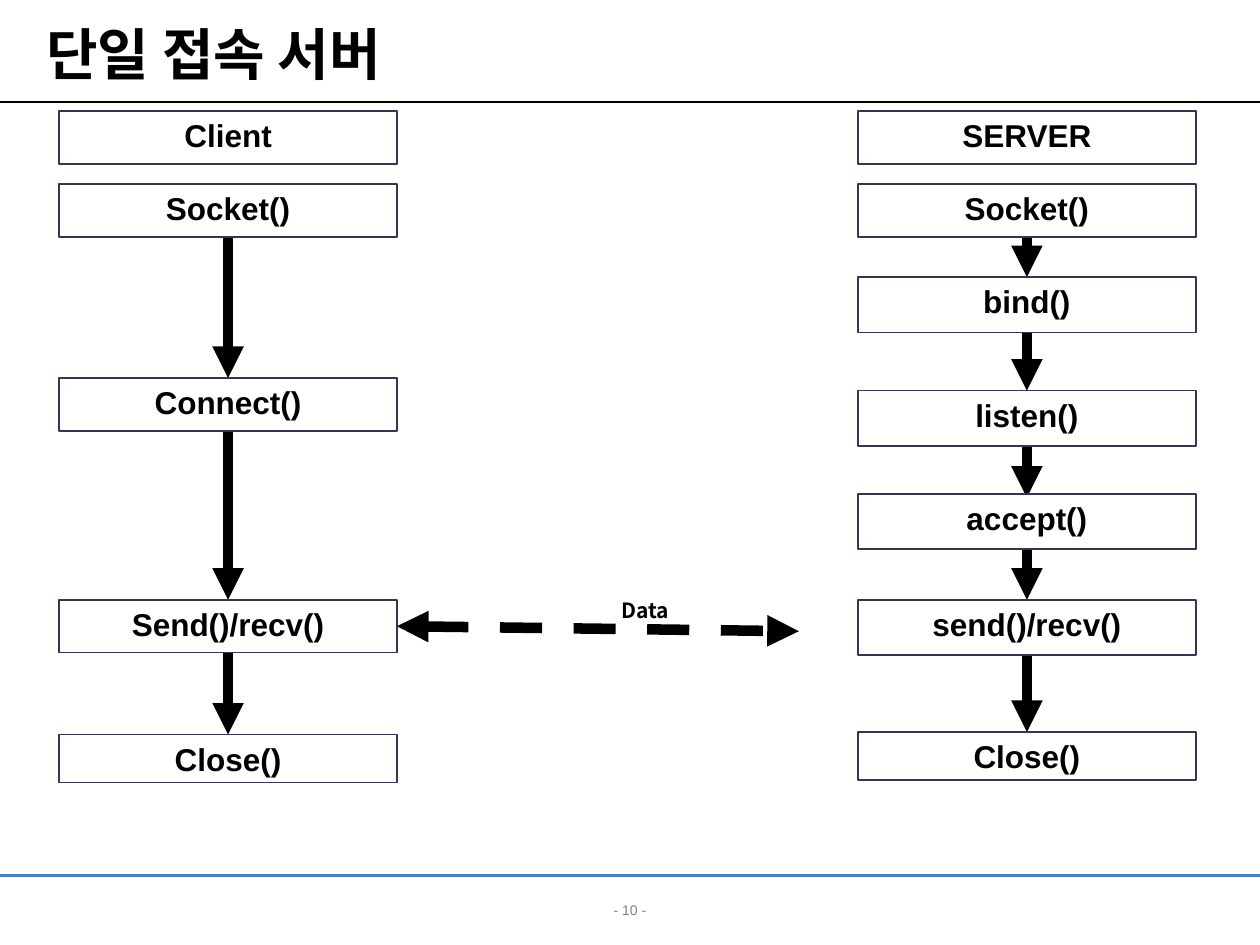
from lxml import etree
from pptx import Presentation
from pptx.dml.color import RGBColor
from pptx.enum.dml import MSO_LINE
from pptx.enum.shapes import MSO_CONNECTOR, MSO_SHAPE
from pptx.enum.text import MSO_ANCHOR, PP_ALIGN
from pptx.oxml.ns import qn
from pptx.util import Inches, Pt

COLORS = {
    "ink": "000000",
    "paper": "FFFFFF",
    "box_edge": "403152",
    "footer_rule": "4B7EBC",
    "page_number": "808080",
}
LATIN, KOREAN = "Arial", "Noto Sans CJK KR"
BOX_WIDTH = 2.68
HEADER_TOP, HEADER_HEIGHT = 0.88, 0.42

# Each step: label, top, height
CLIENT_STEPS = [
    ("Socket()", 1.46, 0.42),
    ("Connect()", 3.00, 0.42),
    ("Send()/recv()", 4.76, 0.42),
    ("Close()", 5.83, 0.38),
]
SERVER_STEPS = [
    ("Socket()", 1.46, 0.42),
    ("bind()", 2.20, 0.44),
    ("listen()", 3.10, 0.44),
    ("accept()", 3.92, 0.44),
    ("send()/recv()", 4.76, 0.44),
    ("Close()", 5.81, 0.38),
]
# How far an arrow reaches under the boxes at its start and end
TUCKS = {"listen()": (0.04, 0.03), "accept()": (0.06, 0)}


def color(name):
    return RGBColor.from_string(COLORS[name])


class FlowSlide:
    """Holds the slide being drawn and the look of its elements."""

    def __init__(self, slide):
        self.slide = slide

    def add_text(self, frame, text, size, font, ink="ink", bold=True, align=PP_ALIGN.CENTER):
        frame.word_wrap = True
        paragraph = frame.paragraphs[0]
        paragraph.alignment = align
        run = paragraph.add_run()
        run.text = text
        run.font.size = Pt(size)
        run.font.bold = bold
        run.font.name = font
        run.font.color.rgb = color(ink)
        east_asian = etree.SubElement(run._r.get_or_add_rPr(), qn("a:ea"))
        east_asian.set("typeface", font)

    def label(self, text, left, top, width, height, size, font,
              anchor=MSO_ANCHOR.TOP, **style):
        area = self.slide.shapes.add_textbox(
            Inches(left), Inches(top), Inches(width), Inches(height))
        area.text_frame.vertical_anchor = anchor
        self.add_text(area.text_frame, text, size, font, **style)

    def box(self, text, left, top, height):
        box = self.slide.shapes.add_shape(
            MSO_SHAPE.RECTANGLE, Inches(left), Inches(top), Inches(BOX_WIDTH), Inches(height))
        box.shadow.inherit = False
        box.fill.solid()
        box.fill.fore_color.rgb = color("paper")
        box.line.color.rgb = color("box_edge")
        box.line.width = Pt(1)
        frame = box.text_frame
        frame.vertical_anchor = MSO_ANCHOR.TOP
        frame.margin_left = frame.margin_right = Inches(0.12)
        frame.margin_top = frame.margin_bottom = Inches(0.04)
        self.add_text(frame, text, 18, LATIN)

    def line(self, start, end, width, ink="ink"):
        line = self.slide.shapes.add_connector(
            MSO_CONNECTOR.STRAIGHT, *map(Inches, start + end))
        line.line.color.rgb = color(ink)
        line.line.width = Pt(width)
        etree.SubElement(line._element.spPr, qn("a:effectLst"))
        return line

    def arrow(self, start, end, two_way=False):
        """Draw a thick arrow; a two-way one is dashed with a head at both ends."""
        arrow = self.line(start, end, 6)
        if two_way:
            arrow.line.dash_style = MSO_LINE.DASH
        outline = arrow.line._get_or_add_ln()
        for tag in ("a:headEnd", "a:tailEnd") if two_way else ("a:tailEnd",):
            etree.SubElement(outline, qn(tag)).set("type", "triangle")

    def column(self, header, left, steps):
        """Draw a header and its steps, arrows first so that the boxes cover them."""
        center = left + BOX_WIDTH / 2
        for (name, top, height), (_, next_top, _) in zip(steps, steps[1:]):
            start_tuck, end_tuck = TUCKS.get(name, (0, 0))
            self.arrow((center, top + height - start_tuck), (center, next_top + end_tuck))
        for name, top, height in [(header, HEADER_TOP, HEADER_HEIGHT)] + steps:
            self.box(name, left, top, height)


def main():
    deck = Presentation()
    deck.slide_width, deck.slide_height = Inches(10), Inches(7.5)
    flow = FlowSlide(deck.slides.add_slide(deck.slide_layouts[6]))

    flow.line((0, 0.81), (10, 0.81), 0.75)
    flow.line((0, 6.95), (10, 6.95), 1.5, "footer_rule")
    flow.label("- 10 -", 0, 7.11, 10, 0.24, 8, LATIN, ink="page_number", bold=False)
    flow.label("단일 접속 서버", 0.27, 0.21, 9.39, 0.42, 32, KOREAN,
               anchor=MSO_ANCHOR.MIDDLE, align=PP_ALIGN.LEFT)

    flow.column("Client", 0.47, CLIENT_STEPS)
    flow.column("SERVER", 6.81, SERVER_STEPS)
    flow.arrow((3.15, 4.97), (6.34, 5.01), two_way=True)
    flow.label("Data", 4.37, 4.69, 1.5, 0.3, 12, KOREAN)

    deck.save("out.pptx")


if __name__ == "__main__":
    main()
